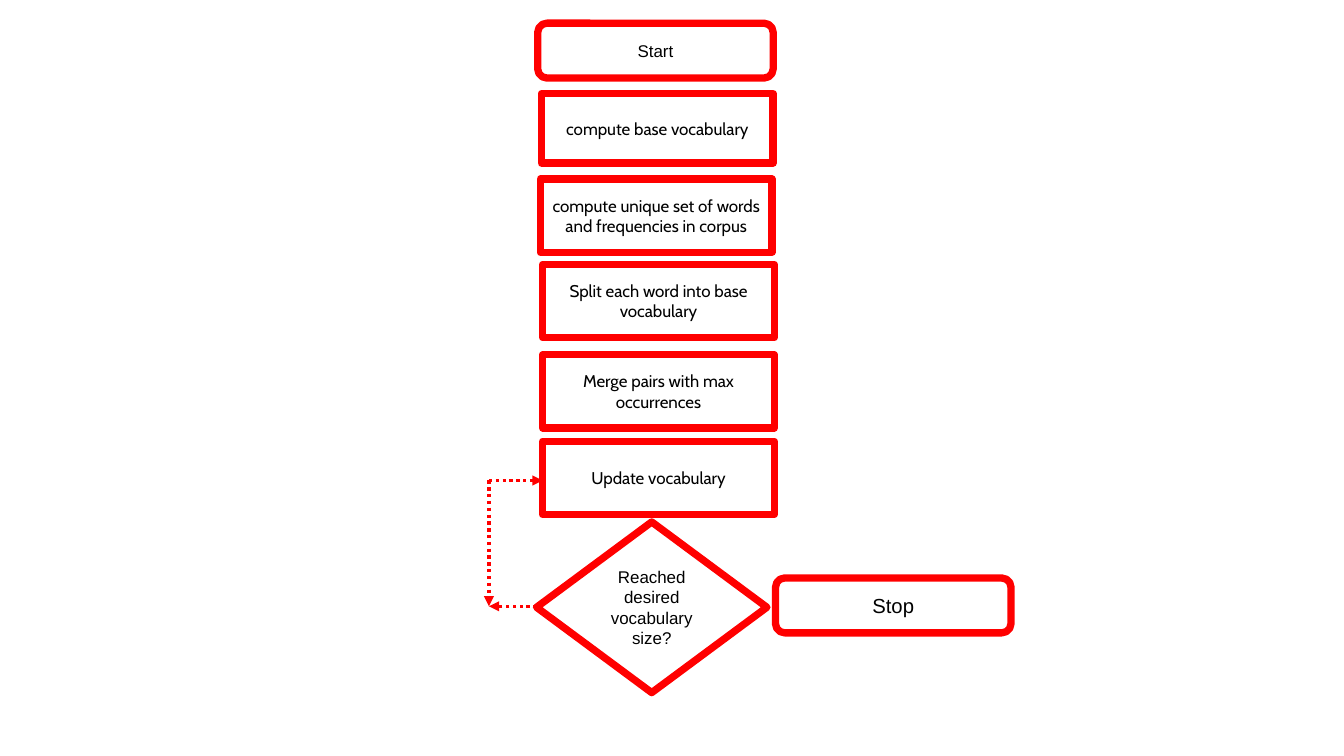
"""Build a flowchart slide of the vocabulary merging steps."""
from lxml import etree
from pptx import Presentation
from pptx.dml.color import RGBColor
from pptx.enum.dml import MSO_LINE
from pptx.enum.shapes import MSO_CONNECTOR, MSO_SHAPE
from pptx.enum.text import MSO_ANCHOR, PP_ALIGN
from pptx.oxml.ns import qn
from pptx.util import Pt

RED = RGBColor(0xFF, 0x00, 0x00)
BLACK = RGBColor(0x00, 0x00, 0x00)
TERMINAL = MSO_SHAPE.ROUNDED_RECTANGLE
PROCESS = MSO_SHAPE.RECTANGLE
DECISION = MSO_SHAPE.DIAMOND
STRAIGHT = MSO_CONNECTOR.STRAIGHT
DOTTED = MSO_LINE.ROUND_DOT
MIDDLE = MSO_ANCHOR.MIDDLE
CENTER = PP_ALIGN.CENTER

SLIDE_SIZE = (793.5, 446.4)
BORDER = 4.31
STYLES = {
    TERMINAL: (139, 32.4, "Arial"),
    PROCESS: (136.8, 43.2, "Cabin"),
    DECISION: (136, 100.8, "Arial"),
}
FLOW = [
    (TERMINAL, "Start", 317.5, 13.7, 10),
    (PROCESS, "compute base vocabulary", 319.7, 55.3, 10),
    (PROCESS, "compute unique set of words and frequencies in corpus", 319, 105.8, 10),
    (PROCESS, "Split each word into base vocabulary", 320.4, 156.2, 10),
    (PROCESS, "Merge pairs with max occurrences", 320.4, 209.5, 10),
    (PROCESS, "Update vocabulary", 320.4, 260.6, 10),
    (DECISION, "Reached desired vocabulary size?", 316.8, 308.2, 10),
    (TERMINAL, "Stop", 457.9, 341.3, 12),
]
BASE_STEP_HEIGHT = 41
LOOP_X = 288.7
UPDATE_LEFT, UPDATE_Y = 320.4, 283.7
DECISION_LEFT, DECISION_Y = 316.8, 358
LOOP_BACK = [
    (DECISION_LEFT, DECISION_Y, LOOP_X, DECISION_Y),
    (LOOP_X, UPDATE_Y, LOOP_X, DECISION_Y),
    (LOOP_X, UPDATE_Y, UPDATE_LEFT, UPDATE_Y),
]


def add_step(slide, kind, label, left, top, size):
    width, height, font_name = STYLES[kind]
    if label == "compute base vocabulary":
        height = BASE_STEP_HEIGHT
    step = slide.shapes.add_shape(kind, Pt(left), Pt(top), Pt(width), Pt(height))
    step.shadow.inherit = False
    step.fill.background()
    step.line.color.rgb = RED
    step.line.width = Pt(BORDER)
    frame = step.text_frame
    frame.word_wrap = True
    frame.vertical_anchor = MIDDLE
    frame.text = label
    paragraph = frame.paragraphs[0]
    paragraph.alignment = CENTER
    paragraph.font.name = font_name
    paragraph.font.size = Pt(size)
    paragraph.font.color.rgb = BLACK


def add_arrow(slide, *ends):
    arrow = slide.shapes.add_connector(STRAIGHT, *map(Pt, ends))
    arrow.line.color.rgb = RED
    arrow.line.width = Pt(0)
    arrow.line.dash_style = DOTTED
    properties = arrow.element.spPr
    etree.SubElement(properties.find(qn("a:ln")), qn("a:tailEnd"), type="triangle")
    etree.SubElement(properties, qn("a:effectLst"))


def main():
    deck = Presentation()
    deck.slide_width, deck.slide_height = map(Pt, SLIDE_SIZE)
    slide = deck.slides.add_slide(deck.slide_layouts.get_by_name("Blank"))
    for step in FLOW:
        add_step(slide, *step)
    for ends in LOOP_BACK:
        add_arrow(slide, *ends)
    deck.save("out.pptx")


if __name__ == "__main__":
    main()
